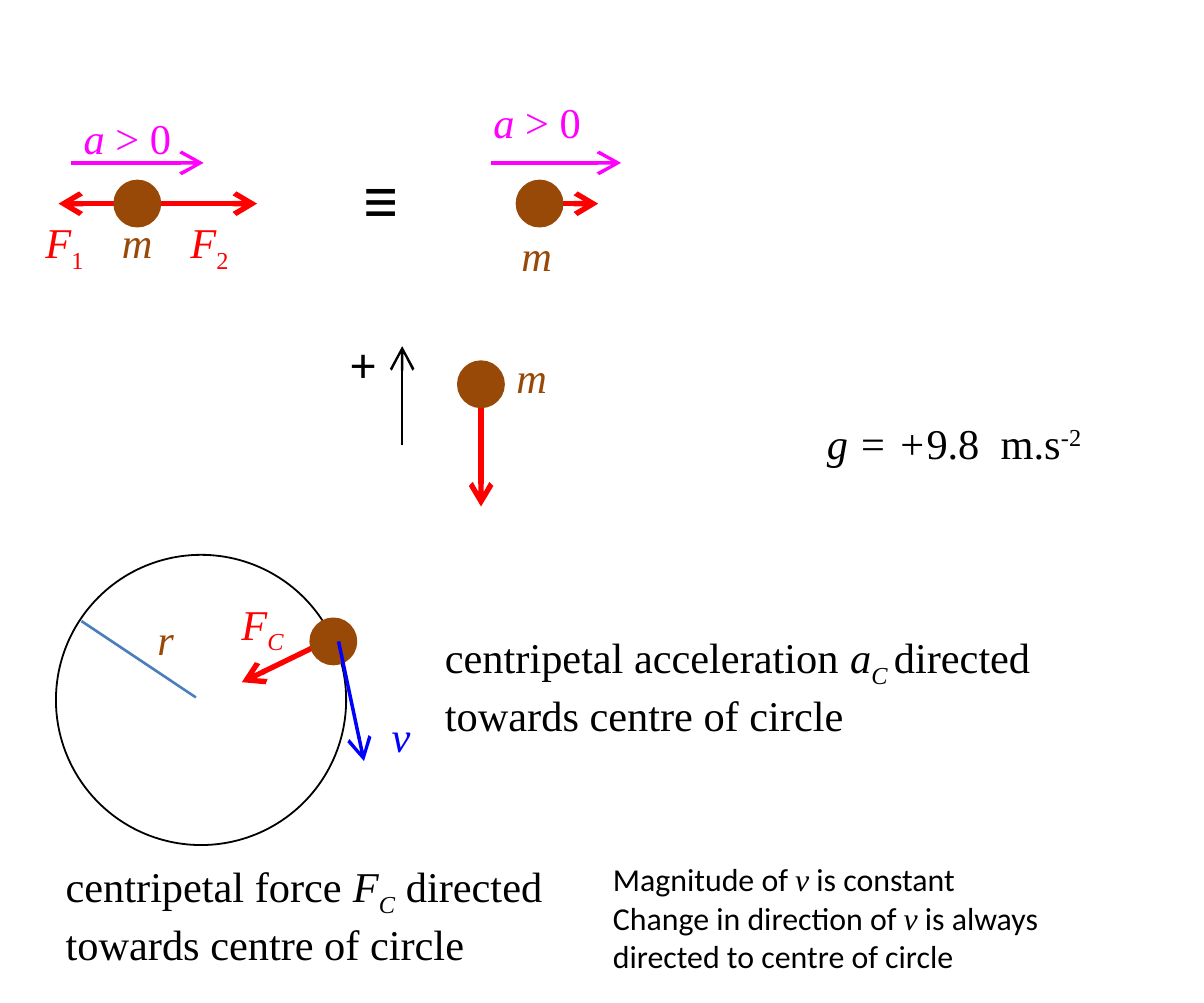
from pptx import Presentation
from pptx.dml.color import RGBColor
from pptx.enum.shapes import MSO_CONNECTOR, MSO_SHAPE
from pptx.enum.text import MSO_AUTO_SIZE
from pptx.oxml.ns import qn
from pptx.util import Inches, Pt
from lxml.etree import SubElement

BLACK, WHITE, RED, BLUE = "000000", "FFFFFF", "FF0000", "0000FF"
MAGENTA, BROWN, STEEL = "FF00FF", "984807", "4B7EBC"
SERIF, SANS = "Times New Roman", "Calibri"
BALL_SIZE = 0.16

PLAIN = {"name": SERIF}
ITALIC = {"name": SERIF, "italic": True}
SANS_PLAIN = {"name": SANS}
SUBSCRIPT, SUPERSCRIPT = -25, 30

ORBIT = (0.22, 2.18, 1.14)
BALLS = [(0.46, 0.72), (2.04, 0.72), (1.81, 1.43), (1.23, 2.44)]

FORCES = [
    ((1.89, 1.51), (1.89, 1.99), RED, 1.5, ["tailEnd"]),
    ((0.23, 0.8), (1.01, 0.8), RED, 1.5, ["headEnd", "tailEnd"]),
    ((2.19, 0.8), (2.35, 0.8), RED, 1.5, ["tailEnd"]),
    ((1.3, 2.51), (0.95, 2.68), RED, 1.5, ["tailEnd"]),
]
MOTIONS = [
    ((0.28, 0.64), (0.8, 0.64), MAGENTA, 1, ["tailEnd"]),
    ((1.93, 0.64), (2.44, 0.64), MAGENTA, 1, ["tailEnd"]),
    ((1.58, 1.75), (1.58, 1.36), BLACK, 0.75, ["tailEnd"]),
    ((1.33, 2.52), (1.43, 2.99), BLUE, 1, ["tailEnd"]),
    ((0.77, 2.74), (0.32, 2.44), STEEL, 0.75, []),
]

ACCELERATION = [[("a", ITALIC, 0), (" > 0", PLAIN, 0)]]
MASS = [[("m", ITALIC, 0)]]
TOWARDS_CENTRE = [("towards centre of circle", PLAIN, 0)]

LABELS = [
    ((1.33, 0.56, 0.36, 0.44), 20, BLACK, [[("≡", SANS_PLAIN, 0)]]),
    ((1.28, 1.26, 0.3, 0.34), 14, BLACK, [[("+", SANS_PLAIN, 0)]]),
    ((0.23, 0.39, 0.55, 0.3), 12, MAGENTA, ACCELERATION),
    ((1.84, 0.33, 0.55, 0.3), 12, MAGENTA, ACCELERATION),
    ((0.08, 0.8, 0.36, 0.3), 12, RED, [[("F", ITALIC, 0), ("1", PLAIN, SUBSCRIPT)]]),
    ((0.65, 0.8, 0.36, 0.3), 12, RED, [[("F", ITALIC, 0), ("2", PLAIN, SUBSCRIPT)]]),
    ((0.85, 2.3, 0.38, 0.3), 12, RED, [[("F", ITALIC, 0), ("C", ITALIC, SUBSCRIPT)]]),
    ((0.38, 0.8, 0.32, 0.3), 12, BROWN, MASS),
    ((1.95, 0.85, 0.32, 0.3), 12, BROWN, MASS),
    ((1.93, 1.33, 0.32, 0.3), 12, BROWN, MASS),
    ((0.52, 2.36, 0.27, 0.3), 12, BROWN, [[("r", ITALIC, 0)]]),
    ((1.44, 2.74, 0.28, 0.3), 12, BLUE, [[("v", ITALIC, 0)]]),
    ((3.15, 1.59, 1.26, 0.3), 12, BLACK,
     [[("g = +", ITALIC, 0), ("9.8  m.s", PLAIN, 0), ("-2", PLAIN, SUPERSCRIPT)]]),
    ((0.16, 3.33, 2.14, 0.5), 12, BLACK,
     [[("centripetal force ", PLAIN, 0), ("F", ITALIC, 0), ("C", ITALIC, SUBSCRIPT),
       (" directed", PLAIN, 0)], TOWARDS_CENTRE]),
    ((1.65, 2.43, 2.6, 0.5), 12, BLACK,
     [[("centripetal acceleration ", PLAIN, 0), ("a", ITALIC, 0), ("C ", ITALIC, SUBSCRIPT),
       ("directed", PLAIN, 0)], TOWARDS_CENTRE]),
]
VELOCITY_NOTE = ((2.31, 3.33, 2.26, 0.56), 9, BLACK, [
    [("Magnitude of ", SANS_PLAIN, 0), ("v", ITALIC, 0), (" is constant", SANS_PLAIN, 0)],
    [("Change in direction of ", SANS_PLAIN, 0), ("v", ITALIC, 0),
     (" is always directed to centre of circle", SANS_PLAIN, 0)],
])


def color(value):
    return RGBColor.from_string(value)


def set_line(line, value, width):
    line.color.rgb = color(value)
    line.width = Pt(width)


def add_circle(slide, left, top, size, fill, outline, width):
    shape = slide.shapes.add_shape(
        MSO_SHAPE.OVAL, *map(Inches, (left, top, size, size)))
    shape.shadow.inherit = False
    shape.fill.solid()
    shape.fill.fore_color.rgb = color(fill)
    set_line(shape.line, outline, width)


def add_arrow(slide, start, end, value, width, heads):
    connector = slide.shapes.add_connector(
        MSO_CONNECTOR.STRAIGHT, *map(Inches, start + end))
    set_line(connector.line, value, width)
    line_element = connector._element.spPr.find(qn("a:ln"))
    for head in heads:
        SubElement(line_element, qn("a:" + head), type="arrow")
    SubElement(connector._element.spPr, qn("a:effectLst"))


def add_label(slide, place, size, value, paragraphs, wrap=False):
    frame = slide.shapes.add_textbox(*map(Inches, place)).text_frame
    frame.word_wrap = wrap
    frame.auto_size = MSO_AUTO_SIZE.SHAPE_TO_FIT_TEXT
    for index, runs in enumerate(paragraphs):
        paragraph = frame.add_paragraph() if index else frame.paragraphs[0]
        for text, style, baseline in runs:
            run = paragraph.add_run()
            run.text = text
            run.font.color.rgb = color(value)
            for attribute, setting in {"size": Pt(size), **style}.items():
                setattr(run.font, attribute, setting)
            if baseline:
                run._r.get_or_add_rPr().set("baseline", str(baseline * 1000))


def main():
    presentation = Presentation()
    presentation.slide_width = Inches(4.73)
    presentation.slide_height = Inches(3.94)
    slide = presentation.slides.add_slide(presentation.slide_layouts[6])
    add_circle(slide, *ORBIT, WHITE, BLACK, 0.5)
    for force in FORCES:
        add_arrow(slide, *force)
    for left, top in BALLS:
        add_circle(slide, left, top, BALL_SIZE, BROWN, BROWN, 2)
    for motion in MOTIONS:
        add_arrow(slide, *motion)
    for label in LABELS:
        add_label(slide, *label)
    add_label(slide, *VELOCITY_NOTE, wrap=True)
    presentation.save("out.pptx")


if __name__ == "__main__":
    main()
